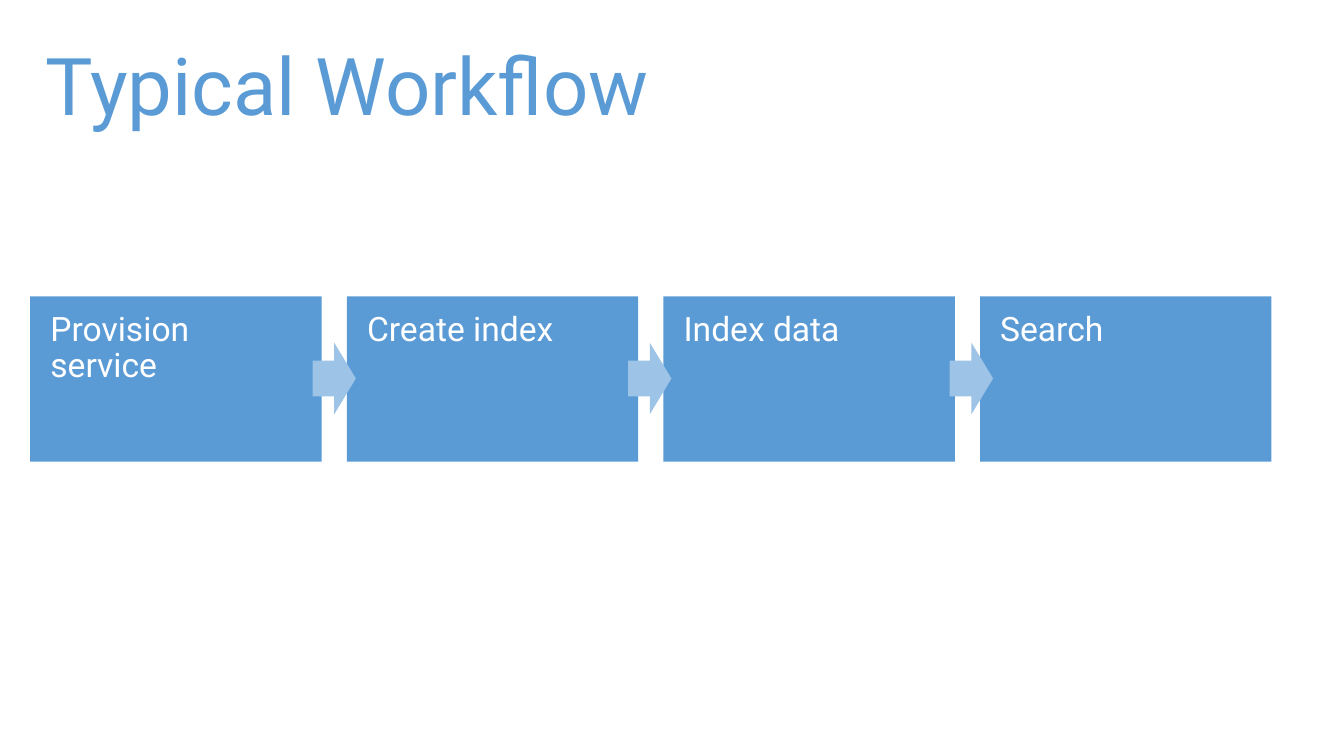
"""Build a slide showing a four-step search workflow."""
import pptx
import pptx.dml.color
import pptx.enum.shapes
import pptx.enum.text
import pptx.util

TITLE = "Typical Workflow"
STEPS = ["Provision service", "Create index", "Index data", "Search"]
ARROW_LEFTS = [3.1, 6.23, 9.42]

FONT = "Roboto"
BLUE, LIGHT_BLUE, WHITE = "5B9BD5", "9DC3E6", "FFFFFF"
STEP_LEFT, STEP_TOP, STEP_WIDTH, STEP_HEIGHT, STEP_PITCH = 0.3, 2.94, 2.89, 1.64, 3.14
ARROW_TOP, ARROW_WIDTH, ARROW_HEIGHT = 3.4, 0.43, 0.71

Inches, Pt = pptx.util.Inches, pptx.util.Pt
MSO_SHAPE = pptx.enum.shapes.MSO_SHAPE
MSO_ANCHOR = pptx.enum.text.MSO_ANCHOR


def rgb(color):
    return pptx.dml.color.RGBColor.from_string(color)


def add_block(slide, kind, box, color):
    sp = slide.shapes.add_shape(kind, *map(Inches, box))
    sp.shadow.inherit = False
    sp.fill.solid()
    sp.fill.fore_color.rgb = rgb(color)
    sp.line.fill.background()
    return sp


def write(sp, text, size, color, spacing, anchor, inset_x, inset_y):
    tf = sp.text_frame
    tf.text = text
    tf.word_wrap = True
    tf.vertical_anchor = anchor
    tf.margin_left = tf.margin_right = Inches(inset_x)
    tf.margin_top = tf.margin_bottom = Inches(inset_y)
    p = tf.paragraphs[0]
    p.alignment = pptx.enum.text.PP_ALIGN.LEFT
    p.line_spacing = spacing
    r = p.runs[0]
    r.font.name = FONT
    r.font.size = Pt(size)
    r.font.color.rgb = rgb(color)


def main():
    prs = pptx.Presentation()
    prs.slide_width, prs.slide_height = Inches(13.33), Inches(7.5)
    slide = prs.slides.add_slide(prs.slide_layouts[6])

    title = slide.shapes.add_textbox(*map(Inches, (0.29, 0.28, 9.8, 1.18)))
    write(title, TITLE, 56.9, BLUE, Pt(61.8), MSO_ANCHOR.MIDDLE, 0.16, 0.1)

    for i, step in enumerate(STEPS):
        box = (STEP_LEFT + i * STEP_PITCH, STEP_TOP, STEP_WIDTH, STEP_HEIGHT)
        sp = add_block(slide, MSO_SHAPE.RECTANGLE, box, BLUE)
        write(sp, step, 24, WHITE, 0.9, MSO_ANCHOR.TOP, 0.2, 0.16)

    for left in ARROW_LEFTS:
        box = (left, ARROW_TOP, ARROW_WIDTH, ARROW_HEIGHT)
        add_block(slide, MSO_SHAPE.RIGHT_ARROW, box, LIGHT_BLUE)

    prs.save("out.pptx")


if __name__ == "__main__":
    main()
